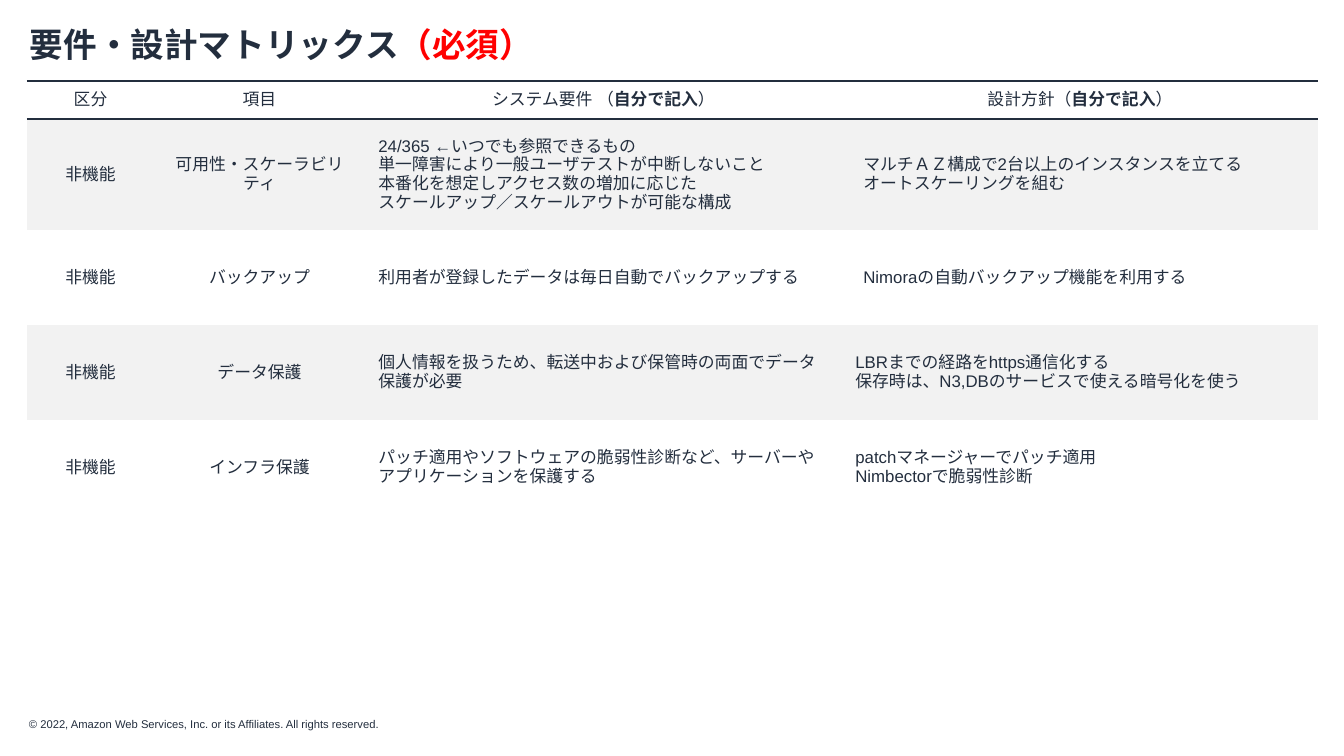
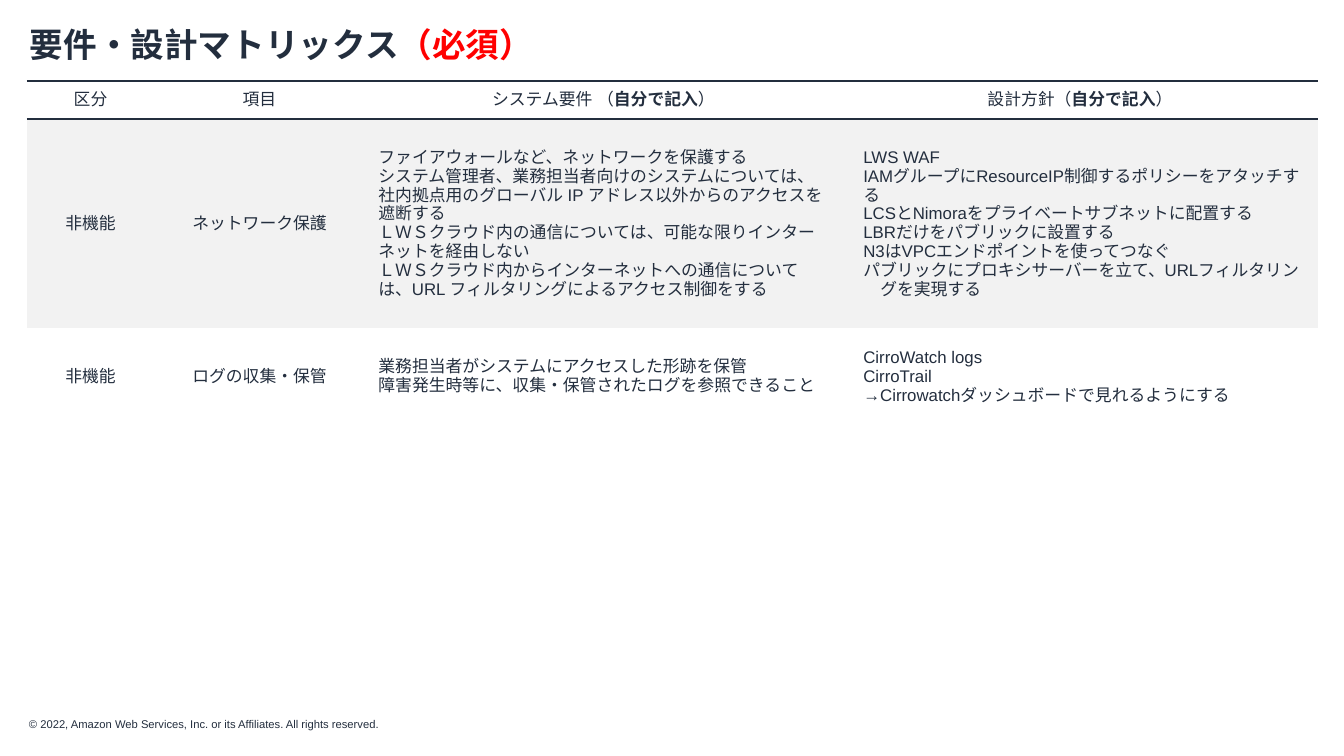
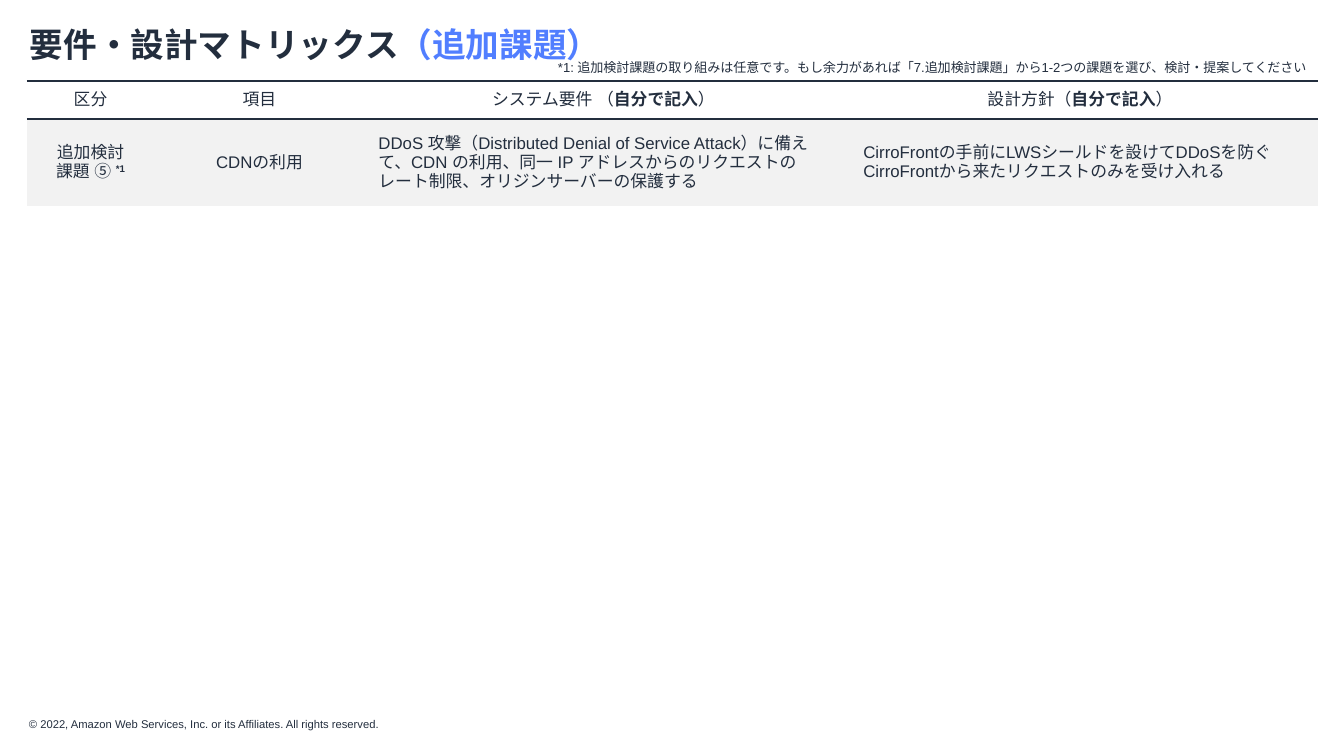
import lxml.etree
import pptx
import pptx.dml.color
import pptx.enum.text
import pptx.oxml
import pptx.oxml.ns
import pptx.util

INK, RED, BLUE, BAND = "232E3E", "FF0000", "517EFF", "F2F2F2"
FONT = "Arial"
NO_GRID_STYLE = "{2D5ABB26-0587-4C30-8999-92F81FD0307C}"
CENTER = pptx.enum.text.PP_ALIGN.CENTER
LEFT = pptx.enum.text.PP_ALIGN.LEFT

TITLE = "要件・設計マトリックス"
COPYRIGHT = "© 2022, Amazon Web Services, Inc. or its Affiliates. All rights reserved."
COLUMN_WIDTHS = [127, 211, 477, 476]
HEADER_HEIGHT = 38
INDENTS = {"flush": (0, 0), "inset": (8, 0), "hang": (25, -17)}

FILL_IN = [("自分で記入", "bold"), ("）", "")]
HEADER = [
    ["区分"],
    ["項目"],
    [[("システム要件 （", "")] + FILL_IN],
    [[("設計方針（", "")] + FILL_IN],
]

SLIDES = [
    {
        "tag": ("（必須）", RED),
        "row_heights": [111, 95, 95, 95],
        "rows": [
            (["非機能"], ["可用性・スケーラビリティ"],
             ["24/365 ←いつでも参照できるもの",
              "単一障害により一般ユーザテストが中断しないこと",
              "本番化を想定しアクセス数の増加に応じた",
              "スケールアップ／スケールアウトが可能な構成"],
             [("hang", "マルチＡＺ構成で2台以上のインスタンスを立てる"),
              ("hang", "オートスケーリングを組む")]),
            (["非機能"], ["バックアップ"],
             ["利用者が登録したデータは毎日自動でバックアップする"],
             [("hang", "Nimoraの自動バックアップ機能を利用する")]),
            (["非機能"], ["データ保護"],
             ["個人情報を扱うため、転送中および保管時の両面でデータ保護が必要"],
             [("flush", "LBRまでの経路をhttps通信化する"),
              ("flush", "保存時は、N3,DBのサービスで使える暗号化を使う")]),
            (["非機能"], ["インフラ保護"],
             ["パッチ適用やソフトウェアの脆弱性診断など、サーバーやアプリケーションを保護する"],
             [("flush", "patchマネージャーでパッチ適用"),
              ("flush", "Nimbectorで脆弱性診断")]),
        ],
    },
    {
        "tag": ("（必須）", RED),
        "row_heights": [209, 97],
        "rows": [
            (["非機能"], ["ネットワーク保護"],
             ["ファイアウォールなど、ネットワークを保護する",
              "システム管理者、業務担当者向けのシステムについては、社内拠点用のグローバル IP アドレス以外からのアクセスを遮断する",
              "ＬＷＳクラウド内の通信については、可能な限りインターネットを経由しない",
              "ＬＷＳクラウド内からインターネットへの通信については、URL フィルタリングによるアクセス制御をする"],
             [("hang", "LWS WAF"),
              ("inset", "IAMグループにResourceIP制御するポリシーをアタッチする"),
              ("hang", "LCSとNimoraをプライベートサブネットに配置する"),
              ("hang", "LBRだけをパブリックに設置する"),
              ("inset", "N3はVPCエンドポイントを使ってつなぐ"),
              ("hang", "パブリックにプロキシサーバーを立て、URLフィルタリングを実現する")]),
            (["非機能"], ["ログの収集・保管"],
             ["業務担当者がシステムにアクセスした形跡を保管",
              "障害発生時等に、収集・保管されたログを参照できること"],
             [("hang", "CirroWatch logs"),
              ("hang", "CirroTrail"),
              ("hang", "→Cirrowatchダッシュボードで見れるようにする")]),
        ],
    },
    {
        "tag": ("（追加課題）", BLUE),
        "row_heights": [87],
        "rows": [
            (["追加検討", [("課題 ⑤ ", ""), ("*1", "note mark")]], ["CDNの利用"],
             ["DDoS 攻撃（Distributed Denial of Service Attack）に備えて、CDN の利用、同一 IP アドレスからのリクエストのレート制限、オリジンサーバーの保護する"],
             [("hang", "CirroFrontの手前にLWSシールドを設けてDDoSを防ぐ"),
              ("hang", "CirroFrontから来たリクエストのみを受け入れる")]),
        ],
        "footnote": "*1: 追加検討課題の取り組みは任意です。もし余力があれば「7.追加検討課題」から1-2つの課題を選び、検討・提案してください",
    },
]


def px(length):
    return pptx.util.Emu(round(length * 914400 / 134.4))


def color(hex_string):
    return pptx.dml.color.RGBColor.from_string(hex_string)


def add_run(paragraph, text, size, ink=INK, bold=False):
    run = paragraph.add_run()
    run.text = text
    run.font.name = FONT
    run.font.size = pptx.util.Pt(size)
    run.font.color.rgb = color(ink)
    run.font.bold = bold
    for script in ("a:ea", "a:cs"):
        lxml.etree.SubElement(
            run.font._element, pptx.oxml.ns.qn(script)).set("typeface", FONT)
    return run


def add_text(slide, box, pieces, size, bold=False, insets=(13, 7), spacing=None):
    frame = slide.shapes.add_textbox(*map(px, box)).text_frame
    frame.word_wrap = True
    frame.margin_left = frame.margin_right = px(insets[0])
    frame.margin_top = frame.margin_bottom = px(insets[1])
    paragraph = frame.paragraphs[0]
    paragraph.line_spacing = spacing
    for text, ink in pieces:
        add_run(paragraph, text, size, ink, bold)


def rule_cell(cell):
    properties = cell._tc.get_or_add_tcPr()
    for position, side in enumerate(["lnT", "lnB"]):
        properties.insert(position, pptx.oxml.parse_xml(
            f'<a:{side} {pptx.oxml.ns.nsdecls("a")} w="9525"><a:solidFill>'
            f'<a:srgbClr val="{INK}"/></a:solidFill></a:{side}>'))


def fill_cell(cell, content, align, banded):
    cell.vertical_anchor = pptx.enum.text.MSO_ANCHOR.MIDDLE
    if banded:
        cell.fill.solid()
        cell.fill.fore_color.rgb = color(BAND)
    else:
        cell.fill.background()
    frame = cell.text_frame
    for index, entry in enumerate(content):
        paragraph = frame.add_paragraph() if index else frame.paragraphs[0]
        paragraph.alignment = align
        indent, pieces = entry if isinstance(entry, tuple) else ("flush", entry)
        margin, first_line = INDENTS[indent]
        layout = paragraph._p.get_or_add_pPr()
        layout.set("hangingPunct", "0")
        if margin:
            layout.set("marL", str(px(margin)))
            layout.set("indent", str(px(first_line)))
        if isinstance(pieces, str):
            pieces = [(pieces, "")]
        for text, style in pieces:
            run = add_run(paragraph, text, 9, bold=bool(style))
            if style == "note mark":
                run.font._element.set("baseline", "30000")


def add_matrix(slide, rows, row_heights):
    heights = [HEADER_HEIGHT] + row_heights
    matrix = slide.shapes.add_table(
        len(heights), len(COLUMN_WIDTHS), px(27), px(81),
        px(sum(COLUMN_WIDTHS)), px(sum(heights))).table
    matrix.first_row = matrix.horz_banding = False
    matrix._tbl.tblPr.find(pptx.oxml.ns.qn("a:tableStyleId")).text = NO_GRID_STYLE
    for column, width in zip(matrix.columns, COLUMN_WIDTHS):
        column.width = px(width)
    for r, (height, row) in enumerate(zip(heights, [HEADER] + rows)):
        matrix.rows[r].height = px(height)
        for c, content in enumerate(row):
            cell = matrix.cell(r, c)
            fill_cell(cell, content, CENTER if r == 0 or c < 2 else LEFT, r % 2 == 1)
            if r == 0:
                rule_cell(cell)


def main():
    deck = pptx.Presentation()
    deck.slide_width, deck.slide_height = px(1344), px(756)
    for page in SLIDES:
        slide = deck.slides.add_slide(deck.slide_layouts[6])
        add_text(slide, (29, 717, 609, 13), [(COPYRIGHT, INK)], 6, insets=(0, 0))
        add_text(slide, (17, 21, 1251, 81), [(TITLE, INK), page["tag"]], 18,
                 bold=True, spacing=0.9)
        add_matrix(slide, page["rows"], page["row_heights"])
        if "footnote" in page:
            add_text(slide, (545, 52, 794, 30), [(page["footnote"], INK)], 7)
    deck.save("out.pptx")


if __name__ == "__main__":
    main()
